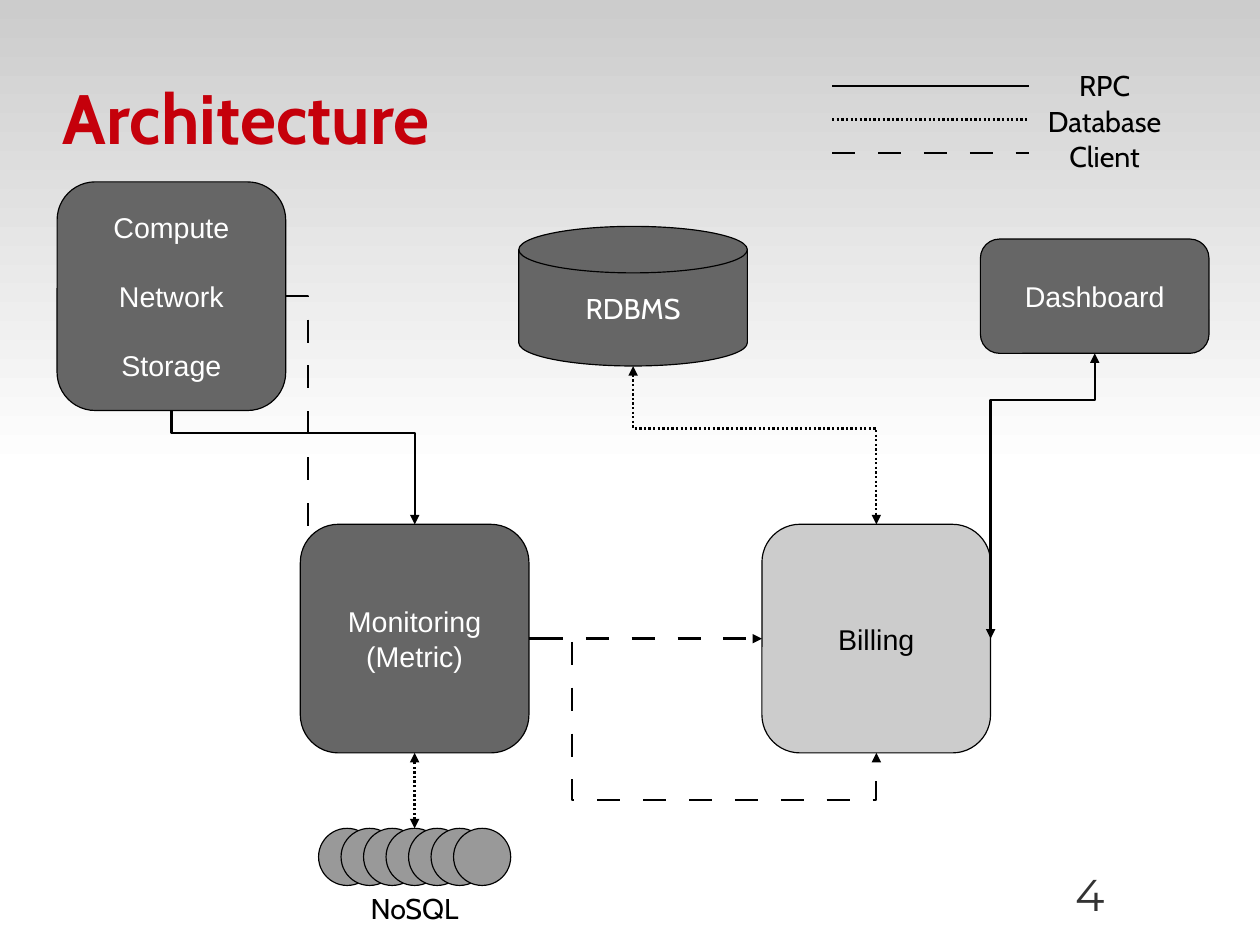
"""Build the billing architecture slide."""
from dataclasses import dataclass

from lxml.etree import SubElement
from pptx import Presentation
from pptx.dml.color import RGBColor
from pptx.enum.shapes import MSO_CONNECTOR, MSO_SHAPE
from pptx.enum.text import MSO_ANCHOR, PP_ALIGN
from pptx.oxml.ns import qn
from pptx.util import Pt


@dataclass(frozen=True)
class Theme:
    black: RGBColor = RGBColor(0, 0, 0)
    white: RGBColor = RGBColor(0xFF, 0xFF, 0xFF)
    red: RGBColor = RGBColor(0xC5, 0x00, 0x0B)
    dark: RGBColor = RGBColor(0x66, 0x66, 0x66)
    middle: RGBColor = RGBColor(0x99, 0x99, 0x99)
    light: RGBColor = RGBColor(0xCC, 0xCC, 0xCC)
    ink: RGBColor = RGBColor(0x33, 0x33, 0x33)
    title_size: int = 44
    label_size: int = 18
    number_size: int = 28
    route_width: float = 1.45


theme = Theme()
prs = Presentation()
prs.slide_width, prs.slide_height = Pt(793.7), Pt(595.28)
slide = prs.slides.add_slide(prs.slide_layouts[6])
shapes = slide.shapes


def write(frame, lines, font_name, size, color, align=PP_ALIGN.CENTER, gap=0):
    for index, line in enumerate(lines):
        paragraph = frame.add_paragraph() if index else frame.paragraphs[0]
        paragraph.text = line
        paragraph.alignment = align
        if index and gap:
            paragraph.space_before = Pt(gap)
        paragraph.font.name = font_name
        paragraph.font.size = Pt(size)
        paragraph.font.color.rgb = color


def draw_route(kind, start, end, style="rpc", both=False, arrow=True, bends=(), vertical=False):
    (x1, y1), (x2, y2) = start, end
    turn = None
    if vertical:
        center_x, center_y = (x1 + x2) / 2, (y1 + y2) / 2
        half_width, half_height = (y2 - y1) / 2, (x2 - x1) / 2
        turn = 90 if x2 < x1 else 270
        side = 1 if x2 < x1 else -1
        x1, x2 = center_x - side * half_width, center_x + side * half_width
        y1, y2 = center_y - abs(half_height), center_y + abs(half_height)
    route = shapes.add_connector(kind, Pt(x1), Pt(y1), Pt(x2), Pt(y2))
    route.line.color.rgb = theme.black
    route.line.width = Pt(theme.route_width)
    properties = route._element.spPr
    if turn:
        properties.find(qn("a:xfrm")).set("rot", str(turn * 60000))
    if bends:
        geometry = properties.find(qn("a:prstGeom"))
        geometry.set("prst", f"bentConnector{len(bends) + 2}")
        guides = geometry.find(qn("a:avLst"))
        for number, bend in enumerate(bends, 1):
            name = f"adj{number}"
            SubElement(guides, qn("a:gd"), name=name, fmla=f"val {round(bend * 100000)}")
    outline = properties.find(qn("a:ln"))
    if style == "database":
        SubElement(outline, qn("a:prstDash"), val="sysDot")
    elif style == "client":
        dashes = SubElement(outline, qn("a:custDash"))
        SubElement(dashes, qn("a:ds"), d="1000000", sp="1000000")
    if both:
        SubElement(outline, qn("a:headEnd"), type="triangle")
    if arrow:
        SubElement(outline, qn("a:tailEnd"), type="triangle")
    SubElement(properties, qn("a:effectLst"))
    return route


backdrop = shapes.add_shape(MSO_SHAPE.RECTANGLE, 0, 0, prs.slide_width, Pt(297.64))
backdrop.shadow.inherit = False
backdrop.line.fill.background()
backdrop.fill.gradient()
backdrop.fill.gradient_angle = 270
for stop, position, shade in zip(backdrop.fill.gradient_stops, (0, 1), (theme.light, theme.white)):
    stop.position = position
    stop.color.rgb = shade

title = shapes.add_textbox(Pt(39.6), Pt(23.8), Pt(714.2), Pt(99.4)).text_frame
write(title, ["Architecture"], "Cabin", theme.title_size, theme.red, PP_ALIGN.LEFT)
title.paragraphs[0].font.bold = True
page_number = shapes.add_textbox(Pt(594), Pt(542.2), Pt(185), Pt(41)).text_frame
write(page_number, ["4"], "Montserrat", theme.number_size, theme.ink)
for frame in (title, page_number):
    frame.word_wrap = True
    frame.vertical_anchor = MSO_ANCHOR.MIDDLE
    frame.margin_left = frame.margin_right = frame.margin_top = frame.margin_bottom = 0

captions = [("RPC", 611.8, 39.2), ("Database", 611.8, 61.7), ("Client", 611.8, 84.2), ("NoSQL", 177.1, 558)]
for caption, left, top in captions:
    frame = shapes.add_textbox(Pt(left), Pt(top), Pt(168), Pt(31.7)).text_frame
    frame.word_wrap = True
    write(frame, [caption], "Cabin", theme.label_size, theme.black)
for row, style in enumerate(("rpc", "database", "client")):
    y = 54 + row * 21.25
    draw_route(MSO_CONNECTOR.STRAIGHT, (524.2, y), (648, y), style, arrow=False)

ELBOW = MSO_CONNECTOR.ELBOW
draw_route(ELBOW, (180, 186.5), (480, 402.3), "client", bends=[0.047])

rounded, disk = MSO_SHAPE.ROUNDED_RECTANGLE, MSO_SHAPE.FLOWCHART_MAGNETIC_DISK
components = [
    (disk, ["RDBMS"], "Cabin", 326.8, 142.6, 88, theme.dark, theme.white, 0),
    (rounded, ["Compute", "Network", "Storage"], "Arial", 36, 114.6, 144, theme.dark, theme.white, 22),
    (rounded, ["Dashboard"], "Arial", 617.6, 150.6, 72, theme.dark, theme.white, 0),
    (rounded, ["Billing"], "Arial", 480, 330.3, 144, theme.light, theme.black, 0),
    (rounded, ["Monitoring", "(Metric)"], "Arial", 189.2, 330.3, 144, theme.dark, theme.white, 0),
]
nodes = {}
for outline, lines, font_name, left, top, height, fill, color, gap in components:
    node = shapes.add_shape(outline, Pt(left), Pt(top), Pt(144), Pt(height))
    node.text_frame.word_wrap = False
    node.text_frame.vertical_anchor = MSO_ANCHOR.MIDDLE
    write(node.text_frame, lines, font_name, theme.label_size, color, gap=gap)
    node.fill.solid()
    node.fill.fore_color.rgb = fill
    nodes[lines[0]] = node

stores = []
for index in range(7):
    store = shapes.add_shape(MSO_SHAPE.OVAL, Pt(200.7 + index * 14.17), Pt(521.8), Pt(36), Pt(36))
    store.fill.solid()
    store.fill.fore_color.rgb = theme.middle
    stores.append(store)
for part in [*nodes.values(), *stores]:
    part.shadow.inherit = False
    part.line.color.rgb = theme.black
    part.line.width = Pt(0)

draw_route(ELBOW, (689.6, 222.6), (624, 402.3), both=True, bends=[0.163], vertical=True)
draw_route(ELBOW, (398.8, 230.6), (552, 330.3), "database", both=True, bends=[0.394], vertical=True)
draw_route(ELBOW, (108, 258.6), (261.2, 330.3), bends=[0.199], vertical=True)
draw_route(ELBOW, (333.2, 402.3), (552, 474.3), "client", bends=[0.123, 1.411])
storage_link = draw_route(MSO_CONNECTOR.STRAIGHT, (261.2, 521.8), (261.2, 474.3), "database", both=True)
storage_link.begin_connect(stores[3], 0)
storage_link.end_connect(nodes["Monitoring"], 2)

prs.save("out.pptx")
